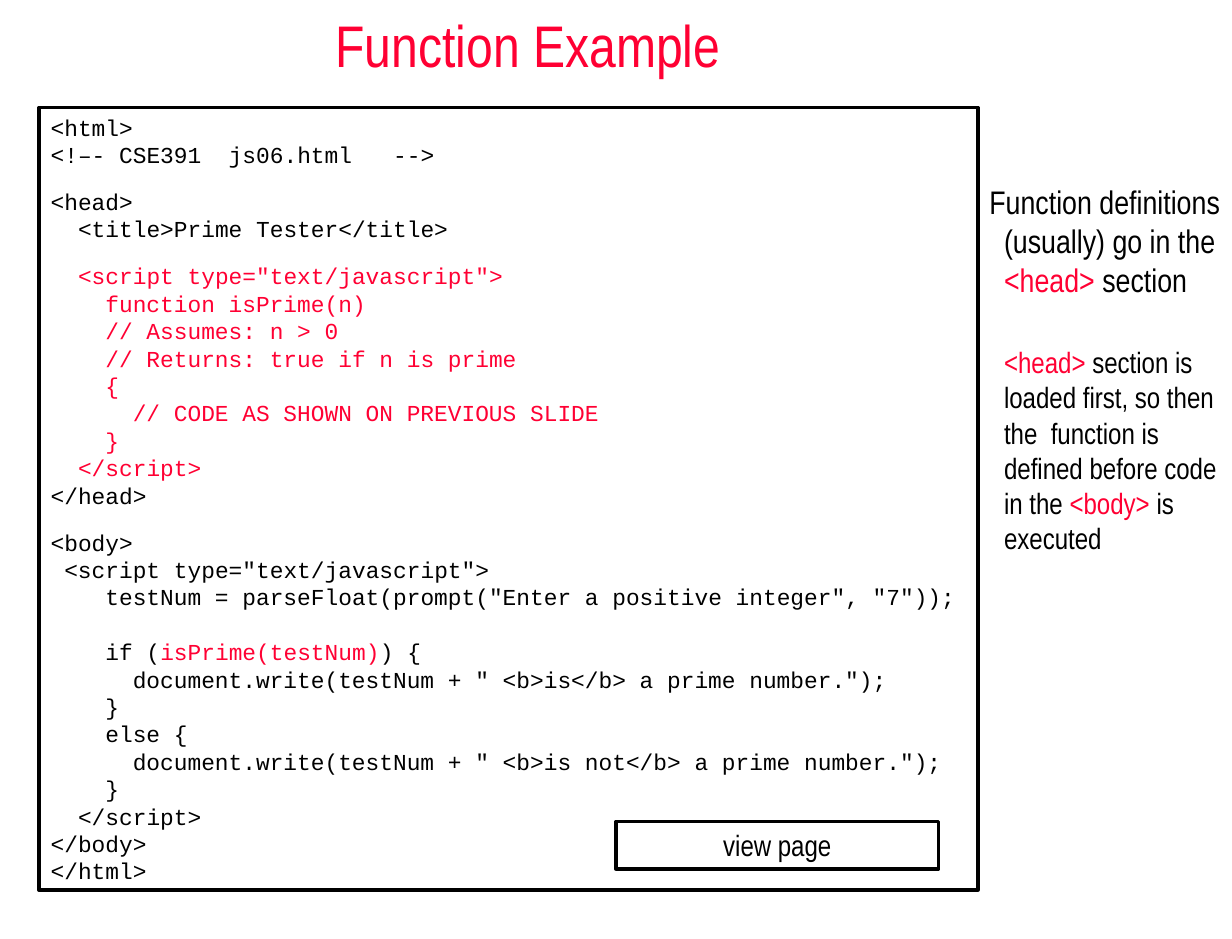
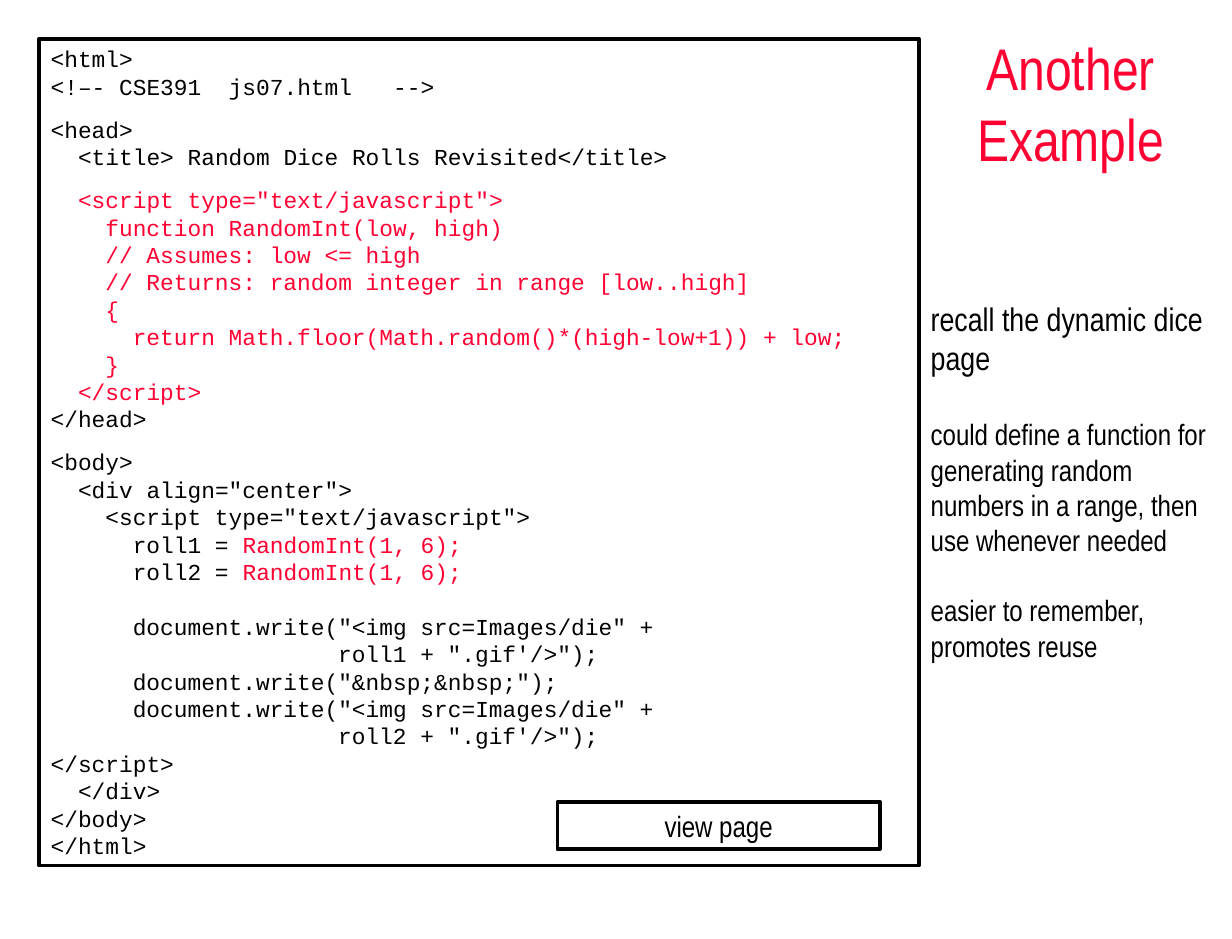
"""Builds two slides that show JavaScript functions inside HTML pages."""
from dataclasses import dataclass

from pptx import Presentation
from pptx.dml.color import RGBColor
from pptx.enum import shapes, text
from pptx.util import Pt

BLACK = RGBColor(0x00, 0x00, 0x00)
RED = RGBColor(0xFF, 0x00, 0x33)
SANS, MONO = "Arial Narrow", "Courier New"
CODE_SIZE, LEAD_SIZE, REMARK_SIZE, TITLE_SIZE = 14, 20, 18, 36
LINE_FACTOR = 1.2
CHAR_WIDTH = 0.6 * CODE_SIZE
ACCENT_MARK = "|"


@dataclass(frozen=True)
class Box:
    """Place of an element, in points."""
    left: float
    top: float
    width: float
    height: float


@dataclass(frozen=True)
class Remark:
    """One paragraph of the side commentary."""
    content: str
    size: float = REMARK_SIZE
    before: float = 0
    left: float = 0
    first: float = 0


@dataclass(frozen=True)
class CodeSlide:
    """A code listing with its title, commentary and button."""
    title: str
    title_box: Box
    code: tuple[str, ...]
    code_box: Box
    section_gap: float
    remarks: tuple[Remark, ...]
    remarks_box: Box
    button_box: Box


PRIME_CODE = (
    """<html>
<!–- CSE391  js06.html   -->""",
    """<head>
  <title>Prime Tester</title>""",
    """  |<script type="text/javascript">
    |function isPrime(n)
    |// Assumes: n > 0
    |// Returns: true if n is prime
    |{
      |// CODE AS SHOWN ON PREVIOUS SLIDE
    |}
  |</script>
</head>""",
    """<body>
 <script type="text/javascript">
    testNum = parseFloat(prompt("Enter a positive integer", "7"));

    if (|isPrime(testNum)|) {
      document.write(testNum + " <b>is</b> a prime number.");
    }
    else {
      document.write(testNum + " <b>is not</b> a prime number.");
    }
  </script>
</body>
</html>""",
)

DICE_CODE = (
    """<html>
<!–- CSE391  js07.html   -->""",
    """<head>
  <title> Random Dice Rolls Revisited</title>""",
    """  |<script type="text/javascript">
    |function RandomInt(low, high)
    |// Assumes: low <= high
    |// Returns: random integer in range [low..high]
    |{
      |return Math.floor(Math.random()*(high-low+1)) + low;
    |}
  |</script>
</head>""",
    """<body>
  <div align="center">
    <script type="text/javascript">
      roll1 = |RandomInt(1, 6);
      roll2 = |RandomInt(1, 6);

      document.write("<img src=Images/die" +
                     roll1 + ".gif'/>");
      document.write("&nbsp;&nbsp;");
      document.write("<img src=Images/die" +
                     roll2 + ".gif'/>");
</script>
  </div>
</body>
</html>""",
)

SLIDES = (
    CodeSlide(
        title="Function Example",
        title_box=Box(132, 0, 384, 54),
        code=PRIME_CODE,
        code_box=Box(24, 66, 576, 480),
        section_gap=12,
        remarks=(
            Remark("Function definitions (usually) go in the |<head> |section",
                   size=LEAD_SIZE, left=9, first=-9),
            Remark("|<head>| section is loaded first, so then the  function is "
                   "defined before code in the |<body>| is executed",
                   before=27.6, left=9),
        ),
        remarks_box=Box(600, 108, 156, 237),
        button_box=Box(378, 504, 198, 29),
    ),
    CodeSlide(
        title="Another Example",
        title_box=Box(570, 24, 174, 78),
        code=DICE_CODE,
        code_box=Box(24, 24, 540, 507),
        section_gap=9.6,
        remarks=(
            Remark("recall the dynamic dice page", size=LEAD_SIZE),
            Remark("could define a function for generating random numbers in a "
                   "range, then use whenever needed", before=24),
            Remark("easier to remember, promotes reuse", before=21.6),
        ),
        remarks_box=Box(564, 180, 192, 230),
        button_box=Box(342, 492, 198, 29),
    ),
)


def add_para(tf, content: str, *, size: float, font: str = SANS, color: RGBColor = BLACK,
             accent: RGBColor = RED, align=text.PP_ALIGN.LEFT, before: float = 0,
             left: float = 0, first: float = 0) -> None:
    """Add a paragraph whose parts between marks take the accent colour."""
    p = tf.paragraphs[0] if not tf.paragraphs[0].runs else tf.add_paragraph()
    p.alignment = align
    p.line_spacing = Pt(size * LINE_FACTOR)
    p.space_before = Pt(before)
    pPr = p._p.get_or_add_pPr()
    pPr.set("marL", str(int(Pt(left))))
    pPr.set("indent", str(int(Pt(first))))
    for i, part in enumerate(content.split(ACCENT_MARK)):
        if part:
            r = p.add_run()
            r.text = part
            r.font.name, r.font.size = font, Pt(size)
            r.font.color.rgb = accent if i % 2 else color


def add_frame(s, box: Box, *, outlined: bool = False, anchor=text.MSO_ANCHOR.TOP):
    """Add a text box or an outlined rectangle and return its text frame."""
    place = [Pt(v) for v in (box.left, box.top, box.width, box.height)]
    if outlined:
        sp = s.shapes.add_shape(shapes.MSO_SHAPE.RECTANGLE, *place)
        sp.shadow.inherit = False
        sp.fill.background()
        sp.line.color.rgb = BLACK
        sp.line.width = Pt(2.25)
    else:
        sp = s.shapes.add_textbox(*place)
    tf = sp.text_frame
    tf.word_wrap = True
    tf.auto_size = text.MSO_AUTO_SIZE.NONE
    tf.vertical_anchor = anchor
    return tf


def add_code(s, box: Box, sections: tuple[str, ...], section_gap: float) -> None:
    """Add the framed listing, turning leading blanks into indents."""
    tf = add_frame(s, box, outlined=True)
    for i, section in enumerate(sections):
        before = section_gap if i else 0
        for line in section.splitlines():
            code = line.lstrip()
            if not code:
                before += CODE_SIZE * LINE_FACTOR
                continue
            add_para(tf, code, size=CODE_SIZE, font=MONO, before=before,
                     left=(len(line) - len(code)) * CHAR_WIDTH)
            before = 0


def add_code_slide(prs, item: CodeSlide) -> None:
    """Add one slide with title, listing, commentary and button."""
    s = prs.slides.add_slide(prs.slide_layouts[6])
    centre = text.PP_ALIGN.CENTER
    tf = add_frame(s, item.title_box, anchor=text.MSO_ANCHOR.MIDDLE)
    add_para(tf, item.title, size=TITLE_SIZE, color=RED, align=centre)
    add_code(s, item.code_box, item.code, item.section_gap)
    tf = add_frame(s, item.remarks_box)
    for remark in item.remarks:
        add_para(tf, remark.content, size=remark.size, before=remark.before,
                 left=remark.left, first=remark.first)
    tf = add_frame(s, item.button_box, outlined=True)
    add_para(tf, "view page", size=REMARK_SIZE, align=centre)


def main() -> None:
    """Build and save the presentation."""
    prs = Presentation()
    prs.slide_width, prs.slide_height = Pt(756), Pt(576)
    for item in SLIDES:
        add_code_slide(prs, item)
    prs.save("out.pptx")


if __name__ == "__main__":
    main()
